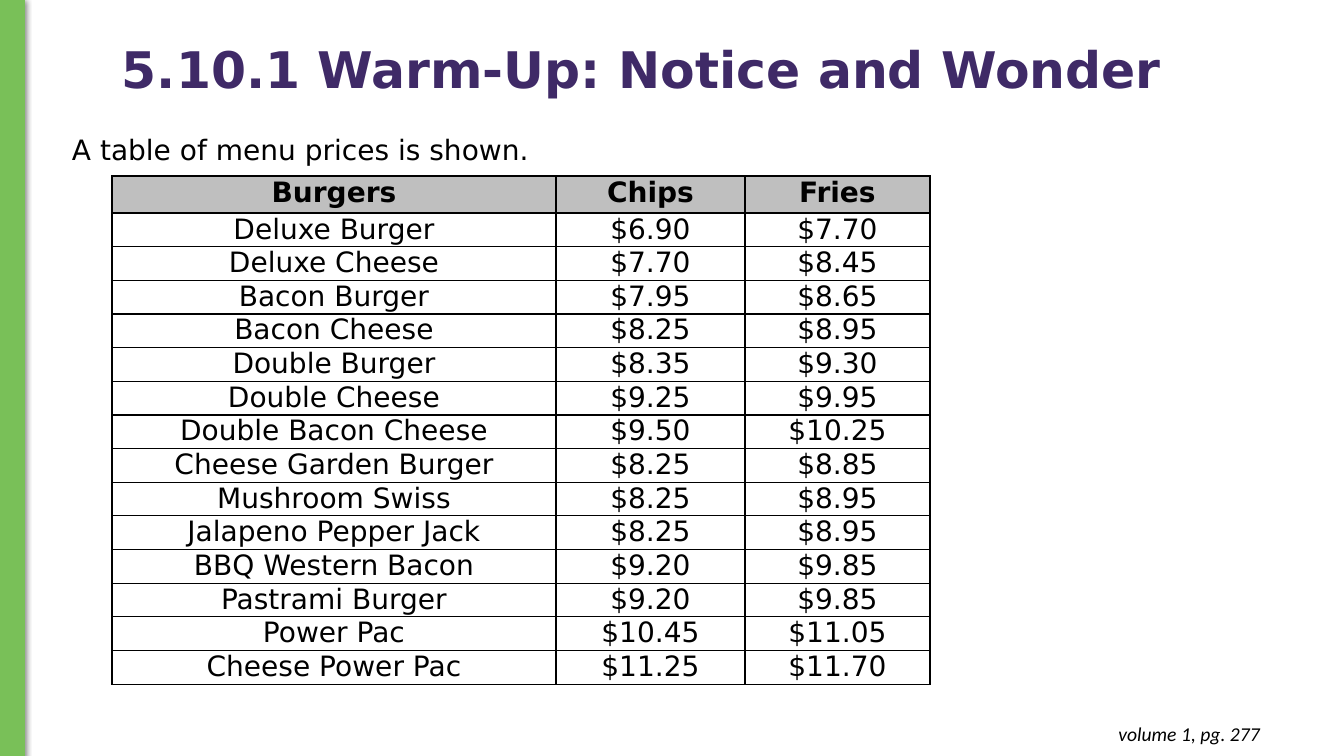
"""Build the warm-up slide with its table of menu prices."""
from lxml import etree
from pptx import Presentation
from pptx.dml.color import RGBColor
from pptx.enum.shapes import MSO_SHAPE
from pptx.enum.text import MSO_ANCHOR, MSO_AUTO_SIZE, PP_ALIGN
from pptx.oxml import parse_xml
from pptx.oxml.ns import nsdecls
from pptx.util import Pt

RECTANGLE = MSO_SHAPE.RECTANGLE
LEFT, CENTER, RIGHT = PP_ALIGN.LEFT, PP_ALIGN.CENTER, PP_ALIGN.RIGHT
TOP, MIDDLE = MSO_ANCHOR.TOP, MSO_ANCHOR.MIDDLE
FIT_TEXT, FIXED = MSO_AUTO_SIZE.SHAPE_TO_FIT_TEXT, MSO_AUTO_SIZE.NONE

THEME = {
    "accent": "79C058", "title": "3F2A67", "ink": "000000", "header": "BFBFBF",
    "main_font": "DejaVu Sans", "note_font": "Calibri",
    "title_size": 36, "body_size": 20, "note_size": 14,
}
PX = 914400 / 100.8


def px(*lengths):
    return [round(length * PX) for length in lengths]


def write(frame, text, *, size=THEME["body_size"], color=THEME["ink"], font=THEME["main_font"],
          bold=False, italic=False, align=LEFT, spacing=None):
    paragraph = frame.paragraphs[0]
    paragraph.alignment = align
    paragraph.line_spacing = spacing
    run = paragraph.add_run()
    run.text = text
    run.font.size, run.font.name = Pt(size), font
    run.font.bold, run.font.italic = bold, italic
    run.font.color.rgb = RGBColor.from_string(color)


deck = Presentation()
deck.slide_width, deck.slide_height = px(1344, 756)
slide = deck.slides.add_slide(deck.slide_layouts[6])

side_bar = slide.shapes.add_shape(RECTANGLE, *px(0, -1, 25, 757))
side_bar.shadow.inherit = False
side_bar.fill.solid()
side_bar.fill.fore_color.rgb = RGBColor.from_string(THEME["accent"])
side_bar.line.color.rgb = RGBColor.from_string(THEME["accent"])
side_bar.line.width = Pt(0.75)
effects = side_bar._element.spPr.find("{*}effectLst")
effects.append(parse_xml(
    f'<a:outerShdw {nsdecls("a")} blurRad="{Pt(4.5)}" dist="{Pt(1.5)}" dir="5400000" '
    f'rotWithShape="0"><a:srgbClr val="{THEME["ink"]}"><a:alpha val="50000"/></a:srgbClr>'
    '</a:outerShdw>'))

captions = [
    ("5.10.1 Warm-Up: Notice and Wonder", (112, -1, 1103, 146), 5, MIDDLE, FIXED,
     {"size": THEME["title_size"], "color": THEME["title"], "bold": True, "spacing": 0.9}),
    ("volume 1, pg. 277", (980, 712, 290, 44), 10, TOP, FIT_TEXT,
     {"size": THEME["note_size"], "font": THEME["note_font"], "italic": True, "align": RIGHT}),
    ("A table of menu prices is shown.", (62, 127, 918, 44), 5, TOP, FIT_TEXT, {}),
]
for text, place, inset, anchor, fit, style in captions:
    frame = slide.shapes.add_textbox(*px(*place)).text_frame
    frame.word_wrap, frame.auto_size, frame.vertical_anchor = True, fit, anchor
    frame.margin_left, frame.margin_right = px(10, 10)
    frame.margin_top, frame.margin_bottom = px(inset, inset)
    write(frame, text, **style)

menu = [
    ("Burgers", "Chips", "Fries"),
    ("Deluxe Burger", "$6.90", "$7.70"),
    ("Deluxe Cheese", "$7.70", "$8.45"),
    ("Bacon Burger", "$7.95", "$8.65"),
    ("Bacon Cheese", "$8.25", "$8.95"),
    ("Double Burger", "$8.35", "$9.30"),
    ("Double Cheese", "$9.25", "$9.95"),
    ("Double Bacon Cheese", "$9.50", "$10.25"),
    ("Cheese Garden Burger", "$8.25", "$8.85"),
    ("Mushroom Swiss", "$8.25", "$8.95"),
    ("Jalapeno Pepper Jack", "$8.25", "$8.95"),
    ("BBQ Western Bacon", "$9.20", "$9.85"),
    ("Pastrami Burger", "$9.20", "$9.85"),
    ("Power Pac", "$10.45", "$11.05"),
    ("Cheese Power Pac", "$11.25", "$11.70"),
]
column_widths = px(444, 189, 185)
header_height, item_height = px(37, 31)
prices = slide.shapes.add_table(len(menu), len(column_widths), *px(112, 176, 818, 508)).table
prices.horz_banding = False
for column, width in zip(prices.columns, column_widths):
    column.width = width

for row_index, entries in enumerate(menu):
    is_header = row_index == 0
    prices.rows[row_index].height = header_height if is_header else item_height
    for column_index, entry in enumerate(entries):
        cell = prices.cell(row_index, column_index)
        cell.margin_left, cell.margin_right = px(7, 7)
        cell.margin_top = cell.margin_bottom = 0
        write(cell.text_frame, entry, bold=is_header, align=CENTER)
        properties = cell._tc.get_or_add_tcPr()
        for side in ("lnL", "lnR", "lnT", "lnB"):
            border = parse_xml(f'<a:{side} {nsdecls("a")} w="{Pt(1)}"><a:solidFill/></a:{side}>')
            etree.SubElement(border[0], border[0].tag.replace("solidFill", "srgbClr"),
                             val=THEME["ink"])
            properties.append(border)
        if is_header:
            cell.fill.solid()
            cell.fill.fore_color.rgb = RGBColor.from_string(THEME["header"])
        else:
            cell.fill.background()

deck.save("out.pptx")
